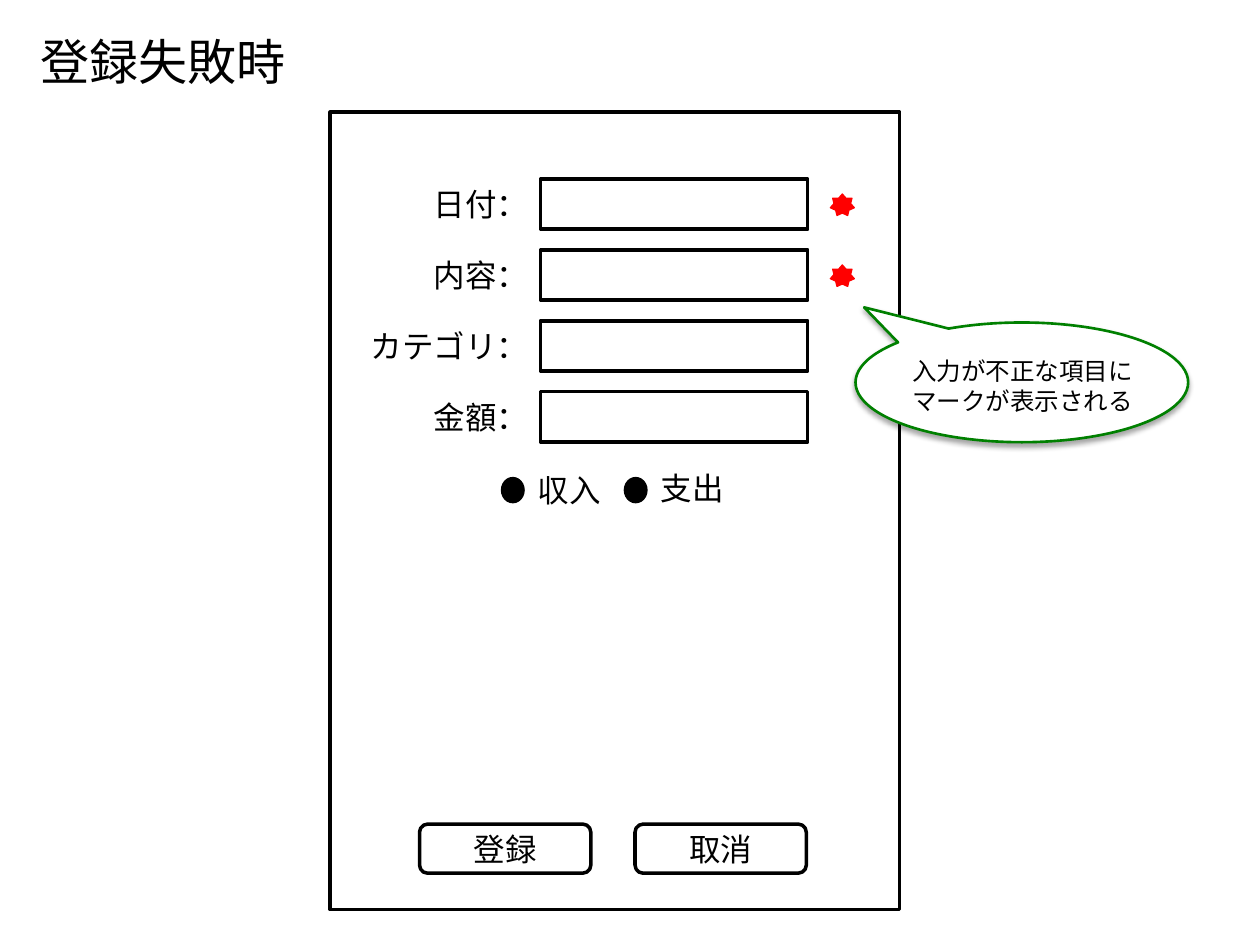
from lxml.etree import SubElement
from pptx import Presentation
from pptx.dml.color import RGBColor
from pptx.enum.shapes import MSO_SHAPE as SHAPE
from pptx.enum.text import MSO_ANCHOR as ANCHOR, PP_ALIGN as ALIGN
from pptx.oxml import parse_xml
from pptx.oxml.ns import nsdecls, qn
from pptx.util import Inches, Pt

FONT = "Noto Sans CJK JP"
BLACK, WHITE, RED, GREEN = "000000", "FFFFFF", "FF0000", "008000"

TITLE = "登録失敗時"
FIELDS = [("日付：", True), ("内容：", True), ("カテゴリ：", False), ("金額：", False)]
CHOICES = [("収入", 3.69), ("支出", 3.67)]
BUTTONS = ["登録", "取消"]
NOTE = ["入力が不正な項目に", "マークが表示される"]

FIELD_LEFT, FIELD_TOP, FIELD_STEP, ROW_HEIGHT = 4.29, 1.42, 0.563, 0.4
LABEL_LEFT = 2.82


def color(value):
    return RGBColor.from_string(value)


def write(frame, lines, size, align=ALIGN.LEFT, anchor=ANCHOR.TOP, wrap=False):
    frame.word_wrap = wrap
    frame.vertical_anchor = anchor
    frame.text = "\n".join(lines)
    for paragraph in frame.paragraphs:
        paragraph.alignment = align
        font = paragraph.font
        font.size = Pt(size)
        font.color.rgb = color(BLACK)
        font.name = FONT
        SubElement(font._element, qn("a:ea"), typeface=FONT)


def add_text(box, lines, size, align=ALIGN.LEFT):
    text = slide.shapes.add_textbox(*map(Inches, box))
    write(text.text_frame, lines, size, align)


def add_figure(kind, box, line=BLACK, width=2, fill=None):
    figure = slide.shapes.add_shape(kind, *map(Inches, box))
    figure.shadow.inherit = False
    if fill:
        figure.fill.solid()
        figure.fill.fore_color.rgb = color(fill)
    else:
        figure.fill.background()
    figure.line.color.rgb = color(line)
    figure.line.width = Pt(width)
    return figure


prs = Presentation()
prs.slide_width, prs.slide_height = Inches(10), Inches(7.5)
slide = prs.slides.add_slide(prs.slide_layouts[5])

title = slide.shapes.title
title.left, title.top, title.width, title.height = map(Inches, (0.22, 0.2, 2.17, 0.57))
write(title.text_frame, [TITLE], 28)

add_figure(SHAPE.RECTANGLE, (2.62, 0.89, 4.52, 6.33))

for row, (label, invalid) in enumerate(FIELDS):
    top = FIELD_TOP + row * FIELD_STEP
    add_text((LABEL_LEFT, top, FIELD_LEFT - LABEL_LEFT, ROW_HEIGHT), [label], 18, ALIGN.RIGHT)
    add_figure(SHAPE.RECTANGLE, (FIELD_LEFT, top, 2.12, ROW_HEIGHT))
    if invalid:
        add_figure(SHAPE.STAR_7_POINT, (6.59, top + 0.12, 0.19, 0.17), RED, 0.75, RED)

for column, (choice, top) in enumerate(CHOICES):
    left = 3.98 + column * 0.975
    add_figure(SHAPE.OVAL, (left, 3.79, 0.18, 0.2), BLACK, 0.75, BLACK)
    add_text((left + 0.19, top, 0.71, ROW_HEIGHT), [choice], 18)

for column, caption in enumerate(BUTTONS):
    button = add_figure(SHAPE.ROUNDED_RECTANGLE, (3.33 + column * 1.71, 6.54, 1.36, 0.39))
    write(button.text_frame, [caption], 18, ALIGN.CENTER, ANCHOR.MIDDLE, True)

callout = add_figure(SHAPE.OVAL_CALLOUT, (6.79, 2.56, 2.64, 0.95), GREEN, 1.5, WHITE)
callout.adjustments[0], callout.adjustments[1] = -0.474, -0.627
effects = callout._element.spPr.find(qn("a:effectLst"))
effects.append(parse_xml(
    f'<a:outerShdw {nsdecls("a")} blurRad="{Pt(3.1)}" dist="{Pt(1.8)}" dir="5400000" rotWithShape="0">'
    f'<a:srgbClr val="{BLACK}"><a:alpha val="35000"/></a:srgbClr></a:outerShdw>'))
add_text((7.14, 2.78, 1.97, 0.57), NOTE, 14)

prs.save("out.pptx")
